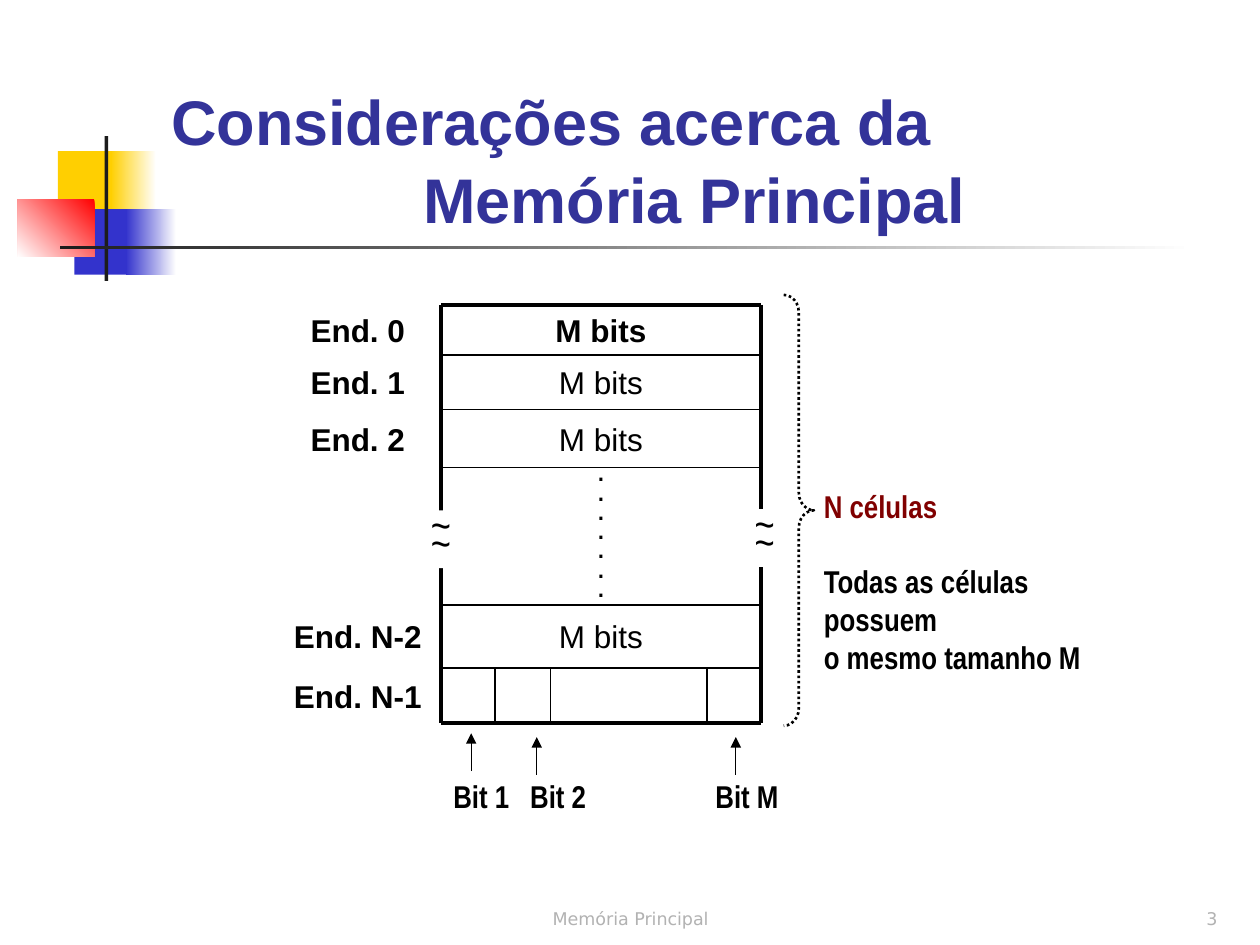
from dataclasses import dataclass

from lxml import etree
from pptx import Presentation
from pptx.dml.color import RGBColor
from pptx.enum import dml, shapes, text
from pptx.oxml import ns
from pptx.util import Inches, Pt

BLACK = RGBColor(0x00, 0x00, 0x00)
WHITE = RGBColor(0xFF, 0xFF, 0xFF)
YELLOW = RGBColor(0xFF, 0xCF, 0x01)
BLUE = RGBColor(0x33, 0x33, 0xCC)
RED = RGBColor(0xFF, 0x00, 0x00)
CHARCOAL = RGBColor(0x1C, 0x1C, 0x1C)
NAVY = RGBColor(0x33, 0x33, 0x99)
MAROON = RGBColor(0x80, 0x00, 0x00)
GRAY = RGBColor(0xB2, 0xB2, 0xB2)

LEFT, CENTER, RIGHT = text.PP_ALIGN.LEFT, text.PP_ALIGN.CENTER, text.PP_ALIGN.RIGHT
TOP, MIDDLE, BOTTOM = text.MSO_ANCHOR.TOP, text.MSO_ANCHOR.MIDDLE, text.MSO_ANCHOR.BOTTOM

LABEL_LEFT, TABLE_LEFT, TABLE_RIGHT = 2.18, 3.5, 6.04


@dataclass
class Style:
    size: float = 18
    font: str = "Arial"
    color: RGBColor = BLACK
    bold: bool = False
    align: int = LEFT
    anchor: int = TOP
    before: float = 0
    spacing: float = 1.0


@dataclass
class Block:
    """A decorative rectangle, solid or fading from start to end."""
    left: float
    top: float
    width: float
    height: float
    start: RGBColor
    end: RGBColor | None = None
    angle: float = 180


@dataclass
class MemoryRow:
    top: float
    bottom: float
    label: str = ""
    content: str = ""
    bold: bool = False


BLOCKS = [
    Block(0.46, 1.2, 0.48, 0.52, YELLOW),
    Block(0.88, 1.2, 0.36, 0.52, WHITE, YELLOW),
    Block(0.59, 1.66, 0.46, 0.52, BLUE),
    Block(1, 1.66, 0.4, 0.52, WHITE, BLUE),
    Block(0.14, 1.58, 0.61, 0.46, RED, WHITE, 225),
    Block(0.83, 1.08, 0.03, 1.15, CHARCOAL),
    Block(0.48, 1.95, 9, 0.03, WHITE, CHARCOAL),
]
ROWS = [
    MemoryRow(2.42, 2.82, "End. 0", "M bits", True),
    MemoryRow(2.82, 3.25, "End. 1", "M bits"),
    MemoryRow(3.25, 3.71, "End. 2", "M bits"),
    MemoryRow(3.71, 4.8),
    MemoryRow(4.8, 5.3, "End. N-2", "M bits"),
    MemoryRow(5.3, 5.74, "End. N-1"),
]
BIT_DIVIDERS = [3.93, 4.37, 5.61]
# label, label left, arrow x, arrow tip y
BITS = [("Bit 1", 3.5, 3.74, 5.82), ("Bit 2", 4.11, 4.26, 5.85), ("Bit M", 5.58, 5.84, 5.85)]


def format_para(para, style: Style) -> None:
    para.alignment = style.align
    para.space_before = Pt(style.before)
    para.line_spacing = style.spacing
    font = para.font
    font.size, font.name, font.bold = Pt(style.size), style.font, style.bold
    font.color.rgb = style.color


def add_text(page, left: float, top: float, width: float, height: float,
             lines: list[str], style: Style, wrap: bool = True):
    box = page.shapes.add_textbox(Inches(left), Inches(top), Inches(width), Inches(height))
    frame = box.text_frame
    frame.word_wrap = wrap
    frame.vertical_anchor = style.anchor
    frame.text = "\n".join(lines)
    for para in frame.paragraphs:
        format_para(para, style)
    return box


def add_block(page, block: Block) -> None:
    shape = page.shapes.add_shape(
        shapes.MSO_SHAPE.RECTANGLE, Inches(block.left), Inches(block.top),
        Inches(block.width), Inches(block.height))
    shape.shadow.inherit = False
    shape.line.fill.background()
    if block.end is None:
        shape.fill.solid()
        shape.fill.fore_color.rgb = block.start
        return
    shape.fill.gradient()
    shape.fill.gradient_angle = block.angle
    for stop, color in zip(shape.fill.gradient_stops, (block.start, block.end)):
        stop.color.rgb = color


def add_line(page, x1: float, y1: float, x2: float, y2: float,
             width: float = 1, arrow: bool = False) -> None:
    line = page.shapes.add_connector(
        shapes.MSO_CONNECTOR.STRAIGHT, Inches(x1), Inches(y1), Inches(x2), Inches(y2))
    line.line.color.rgb = BLACK
    line.line.width = Pt(width)
    if arrow:
        etree.SubElement(line.line._get_or_add_ln(), ns.qn("a:tailEnd"), type="triangle")
    etree.SubElement(line._element.spPr, ns.qn("a:effectLst"))


def add_title(page) -> None:
    style = Style(36, color=NAVY, bold=True, anchor=BOTTOM, spacing=1.03)
    title = add_text(page, 1.26, 0.67, 8.52, 1.25,
                     ["Considerações acerca da", "Memória Principal"], style)
    second_line = title.text_frame.paragraphs[1]
    second_line._p.get_or_add_pPr().set("marL", str(Inches(2)))


def add_memory(page) -> None:
    width = TABLE_RIGHT - TABLE_LEFT
    for row in ROWS:
        height = row.bottom - row.top
        if row.label:
            add_text(page, LABEL_LEFT, row.top, TABLE_LEFT - LABEL_LEFT, height, [row.label],
                     Style(bold=True, align=CENTER, anchor=MIDDLE, before=4.5))
        if row.content:
            add_text(page, TABLE_LEFT, row.top, width, height, [row.content],
                     Style(bold=row.bold, align=CENTER, anchor=MIDDLE, before=4.5))
    gap = ROWS[3]
    add_text(page, TABLE_LEFT, gap.top, width, gap.bottom - gap.top, ["."] * 7,
             Style(align=CENTER, anchor=MIDDLE, before=4.5, spacing=0.3))

    top, bottom = ROWS[0].top, ROWS[-1].bottom
    for y in [row.top for row in ROWS] + [bottom]:
        add_line(page, TABLE_LEFT, y, TABLE_RIGHT, y, 2.25 if y in (top, bottom) else 1)
    for x in (TABLE_LEFT, TABLE_RIGHT):
        add_line(page, x, top, x, bottom, 2.25)
    for x in BIT_DIVIDERS:
        add_line(page, x, ROWS[-1].top, x, bottom)
    for left, y in ((3.32, 4.05), (5.89, 4.04)):
        add_break_mark(page, left, y)


def add_break_mark(page, left: float, top: float) -> None:
    """Cover a side of the memory with a white gap holding two tildes."""
    mark = add_text(page, left, top, 0.36, 0.46, ["~", "~"],
                    Style(24, "Arial Narrow", align=CENTER, spacing=0.6), wrap=False)
    mark.text_frame.paragraphs[1].line_spacing = 0.3
    mark.fill.solid()
    mark.fill.fore_color.rgb = WHITE


def add_brace(page) -> None:
    brace = page.shapes.add_shape(shapes.MSO_SHAPE.RIGHT_BRACE, Inches(6.22), Inches(2.34),
                                  Inches(0.24), Inches(3.42))
    brace.shadow.inherit = False
    brace.adjustments[0] = 0.58
    brace.fill.background()
    brace.line.color.rgb = BLACK
    brace.line.width = Pt(1.5)
    brace.line.dash_style = dml.MSO_LINE.ROUND_DOT


def main() -> None:
    deck = Presentation()
    deck.slide_width, deck.slide_height = Inches(10), Inches(7.5)
    page = deck.slides.add_slide(deck.slide_layouts[6])
    narrow = Style(font="Arial Narrow", bold=True)

    for block in BLOCKS:
        add_block(page, block)
    add_text(page, 3.42, 6.92, 3.17, 0.5, ["Memória Principal"],
             Style(10, "DejaVu Sans", GRAY, align=CENTER, anchor=BOTTOM))
    add_text(page, 7.68, 6.92, 2.08, 0.5, ["3"],
             Style(10, "DejaVu Sans", GRAY, align=RIGHT, anchor=BOTTOM))
    add_title(page)
    add_memory(page)
    for label, left, x, tip in BITS:
        add_text(page, left, 6.12, 0.7, 0.4, [label], narrow, wrap=False)
        add_line(page, x, tip + 0.3, x, tip, 0.75, arrow=True)
    add_brace(page)
    note = add_text(page, 6.44, 3.82, 2.24, 1.6,
                    ["N células", "Todas as células", "possuem", "o mesmo tamanho M"],
                    narrow, wrap=False)
    heading, explanation = note.text_frame.paragraphs[:2]
    heading.font.color.rgb = MAROON
    explanation.space_before = Pt(21)
    deck.save("out.pptx")


if __name__ == "__main__":
    main()
